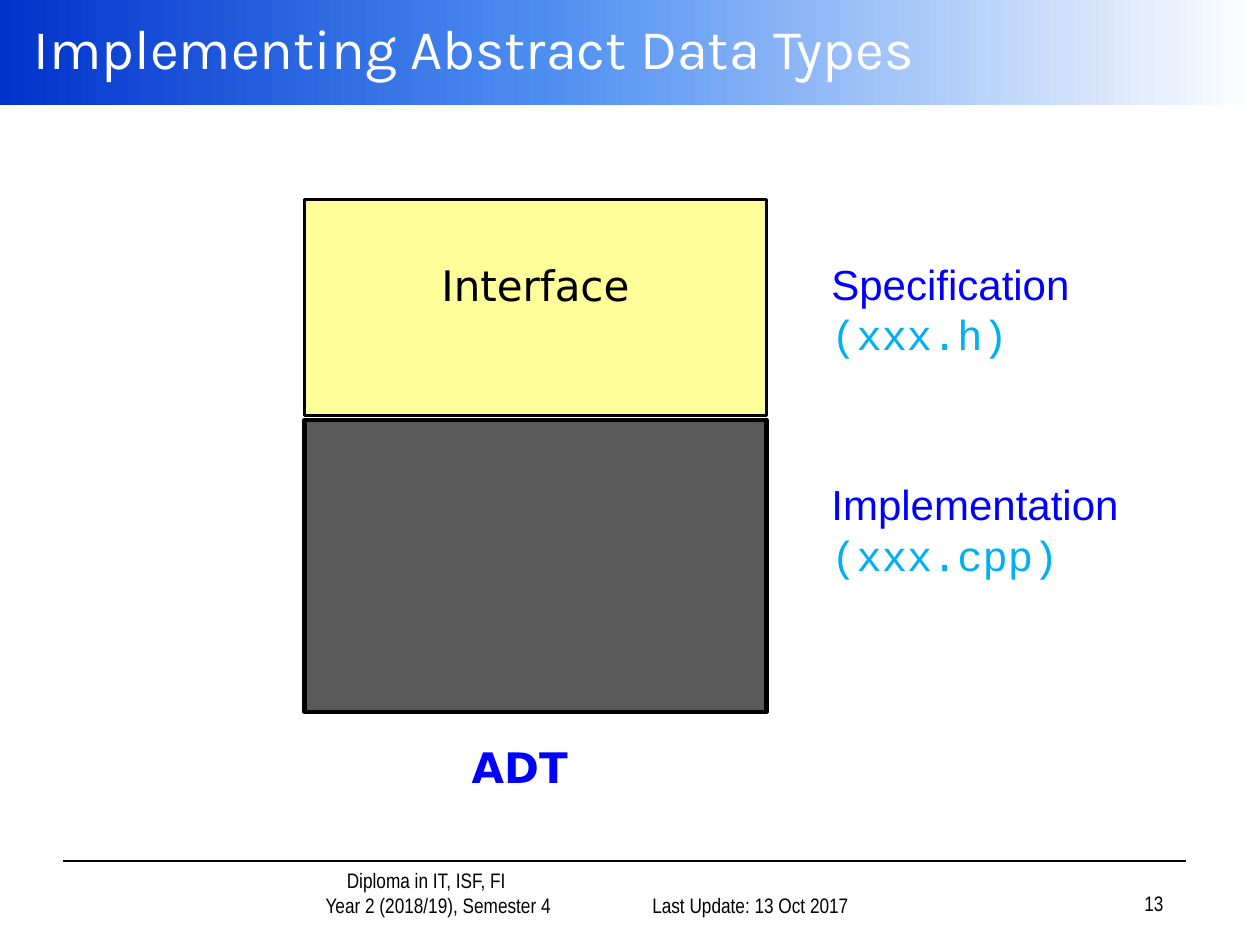
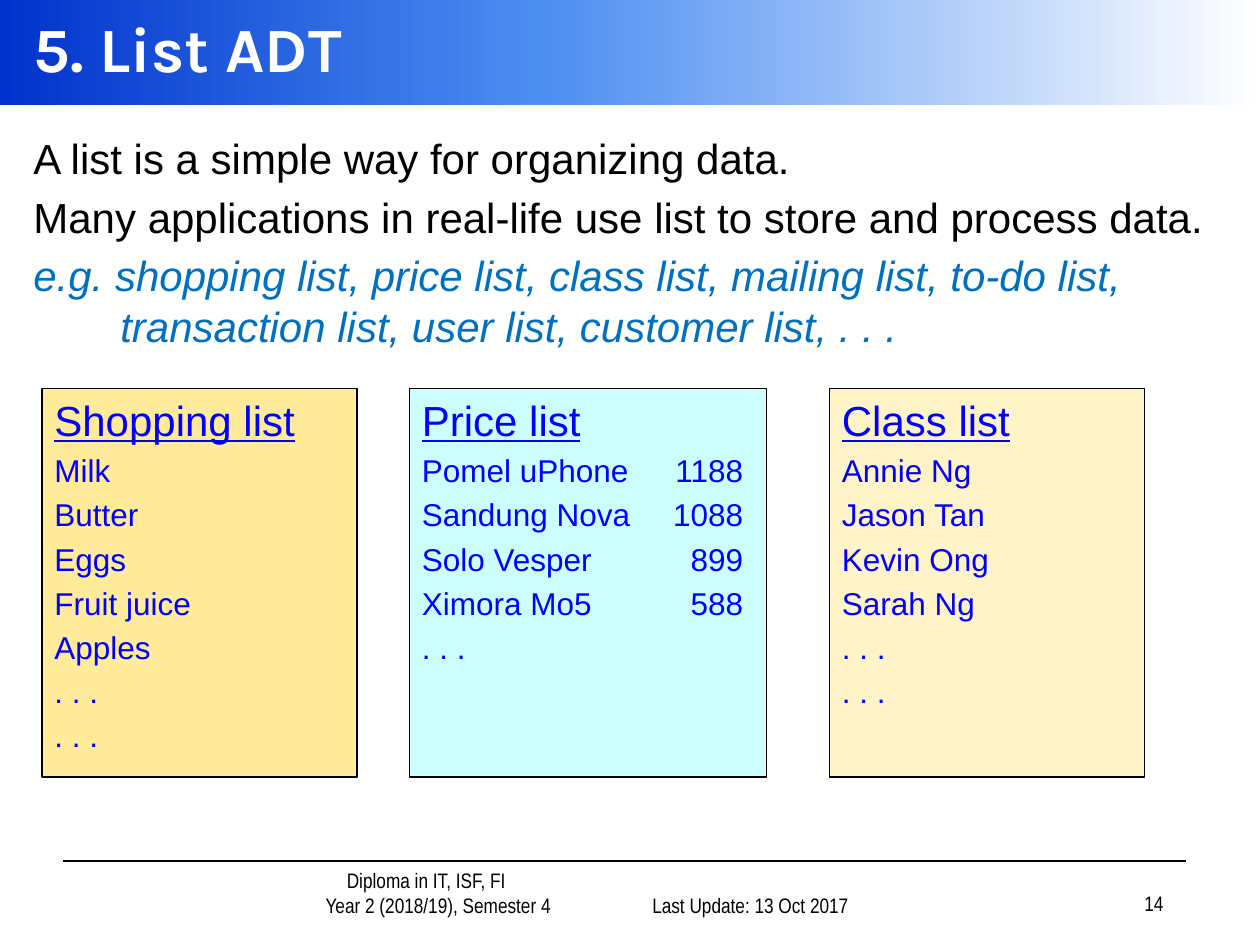
from copy import deepcopy

from lxml import etree
from pptx import Presentation
from pptx.dml.color import RGBColor
from pptx.enum.shapes import MSO_CONNECTOR, MSO_SHAPE
from pptx.enum.text import MSO_ANCHOR, MSO_AUTO_SIZE, PP_ALIGN
from pptx.oxml.ns import qn
from pptx.util import Inches, Pt

RECT = MSO_SHAPE.RECTANGLE
LINE = MSO_CONNECTOR.STRAIGHT
TOP, MID, BASE = MSO_ANCHOR.TOP, MSO_ANCHOR.MIDDLE, MSO_ANCHOR.BOTTOM
LEFT, MIDST, RIGHT = PP_ALIGN.LEFT, PP_ALIGN.CENTER, PP_ALIGN.RIGHT

BLACK, WHITE, BLUE, SKY, SEA = "000000", "FFFFFF", "0000FF", "00B0F0", "0070C0"
BAND = [(0, "0033CC"), (0.43, "4D8EF1"), (1, WHITE)]
FIRST = 13

# Styles: run and paragraph settings
FOOT = dict(font="Arial Narrow", size=12)
HEAD = dict(font="Karla", size=32, color=WHITE)
LABEL = dict(size=24, color=BLUE)
FILE = dict(font="Courier New", size=24, color=SKY)
NAME = dict(font="DejaVu Sans", size=24)
POINT = dict(size=24, gap=0.2)
CAP = dict(size=24, color=BLUE, gap=0.2, under=True)
ITEM = dict(size=18, color=BLUE, gap=0.2)

# Places are left, top, width, height on a grid of 120 columns by 90 rows
COLS, ROWS = 120, 90
FOOTERS = [
    ((20.2, 83, 34.8, 5), MIDST, [
        ("Diploma in IT, ISF, FI", dict(FOOT, indent=0.5)),
        ("Year 2 (2018/19), Semester 4", dict(FOOT, indent=0.69))]),
    ((57, 83, 25, 5), RIGHT, [("Last Update: 13 Oct 2017", FOOT)]),
]
NUMBER = (87, 82.8, 25, 5)

PARTS = [
    ((78, 24, 29, 13.3), "Specification", "(xxx.h)"),
    ((78, 45, 33, 13.3), "Implementation", "(xxx.cpp)"),
]

POINTS = [
    ("A list is a simple way for organizing data.", POINT),
    ("Many applications in real-life use list to store and process data.", POINT),
    ("e.g. shopping list, price list, class list, mailing list, to-do list, "
     "transaction list, user list, customer list, . . .",
     dict(POINT, color=SEA, italic=True, indent=0.69, hang=True)),
]

CARDS = [
    (4, 30, "FFEB99", "Shopping list",
     ["Milk", "Butter", "Eggs", "Fruit juice", "Apples", ". . .", ". . ."]),
    (39, 34, "CCFFFF", "Price list",
     ["Pomel uPhone\t1188", "Sandung Nova\t1088", "Solo Vesper\t899",
      "Ximora Mo5\t588", ". . ."]),
    (79, 30, "FFF4C7", "Class list",
     ["Annie Ng", "Jason Tan", "Kevin Ong", "Sarah Ng", ". . .", ". . ."]),
]
CARD_TOP, CARD_TALL, TAB = 37, 37, 2.55

prs = Presentation()
prs.slide_width, prs.slide_height = Inches(10), Inches(7.5)


def rgb(code):
    return RGBColor.from_string(code)


def place(left, top, width, height):
    """Turn grid units into lengths on the slide."""
    col, row = prs.slide_width / COLS, prs.slide_height / ROWS
    return [round(n) for n in (left * col, top * row, width * col, height * row)]


def write(shape, paras, align=LEFT, anchor=TOP):
    frame = shape.text_frame
    frame.word_wrap = True
    frame.auto_size = MSO_AUTO_SIZE.NONE
    frame.vertical_anchor = anchor
    for i, (text, style) in enumerate(paras):
        para = frame.add_paragraph() if i else frame.paragraphs[0]
        para.alignment = align
        para.space_before = Pt(style["size"] * style.get("gap", 0))
        props = para._p.get_or_add_pPr()
        if "indent" in style:
            inset = Inches(style["indent"])
            props.set("marL", str(inset))
            props.set("indent", str(-inset if style.get("hang") else 0))
        if "\t" in text:
            tabs = etree.SubElement(props, qn("a:tabLst"))
            etree.SubElement(tabs, qn("a:tab"), pos=str(Inches(TAB)), algn="r")
        run = para.add_run()
        run.text = text
        font = run.font
        font.name = style.get("font", "Arial")
        font.size = Pt(style["size"])
        font.color.rgb = rgb(style.get("color", BLACK))
        font.bold = style.get("bold", False)
        font.italic = style.get("italic", False)
        font.underline = style.get("under", False)


def label(slide, spot, paras, align=LEFT, anchor=TOP):
    write(slide.shapes.add_textbox(*place(*spot)), paras, align, anchor)


def box(slide, spot, fill, width):
    shape = slide.shapes.add_shape(RECT, *place(*spot))
    shape.shadow.inherit = False
    shape.fill.solid()
    shape.fill.fore_color.rgb = rgb(fill)
    shape.line.color.rgb = rgb(BLACK)
    shape.line.width = Pt(width)
    return shape


def add_band(slide):
    band = slide.shapes.add_shape(RECT, *place(0, 0, COLS, 10))
    band.shadow.inherit = False
    band.line.fill.background()
    band.fill.gradient()
    band.fill.gradient_angle = 0
    stops = band._element.spPr.find(".//" + qn("a:gsLst"))
    stops.append(deepcopy(stops[0]))
    for stop, (share, code) in zip(band.fill.gradient_stops, BAND):
        stop.position = share
        stop.color.rgb = rgb(code)


def new_slide(text, style):
    """Add a slide with its band, title, rule and footers."""
    slide = prs.slides.add_slide(prs.slide_layouts[5])
    add_band(slide)
    title = slide.shapes.title
    title.left, title.top, title.width, title.height = place(2, 0, 118, 9)
    slide.shapes._spTree.append(title._element)
    write(title, [(text, style)], anchor=MID)

    left, top, width, _ = place(6, 82, 107, 0)
    rule = slide.shapes.add_connector(LINE, left, top, left + width, top)
    rule.line.color.rgb = rgb(BLACK)
    rule.line.width = Pt(1)
    etree.SubElement(rule._element.spPr, qn("a:effectLst"))

    number = str(FIRST + len(prs.slides) - 1)
    for spot, align, paras in FOOTERS + [(NUMBER, RIGHT, [(number, FOOT)])]:
        label(slide, spot, paras, align, BASE)
    return slide


def add_adt():
    slide = new_slide("Implementing Abstract Data Types", HEAD)
    face = box(slide, (29, 19, 44, 20.6), "FFFF99", 1.5)
    face.text_frame.margin_top = Inches(0.48)
    write(face, [("Interface", NAME)], MIDST)
    box(slide, (29, 40, 44, 27.8), "595959", 2.5)
    label(slide, (35, 70, 29, 6), [("ADT", dict(NAME, color=BLUE, bold=True))], MIDST)
    for spot, part, file in PARTS:
        label(slide, spot, [(part, LABEL), (file, FILE)])


def add_lists():
    slide = new_slide("5. List ADT", dict(HEAD, size=36, bold=True))
    label(slide, (2, 12, 118, 22), POINTS)
    for left, width, fill, cap, items in CARDS:
        card = box(slide, (left, CARD_TOP, width, CARD_TALL), fill, 0.75)
        write(card, [(cap, CAP)] + [(item, ITEM) for item in items])


add_adt()
add_lists()
prs.save("out.pptx")
